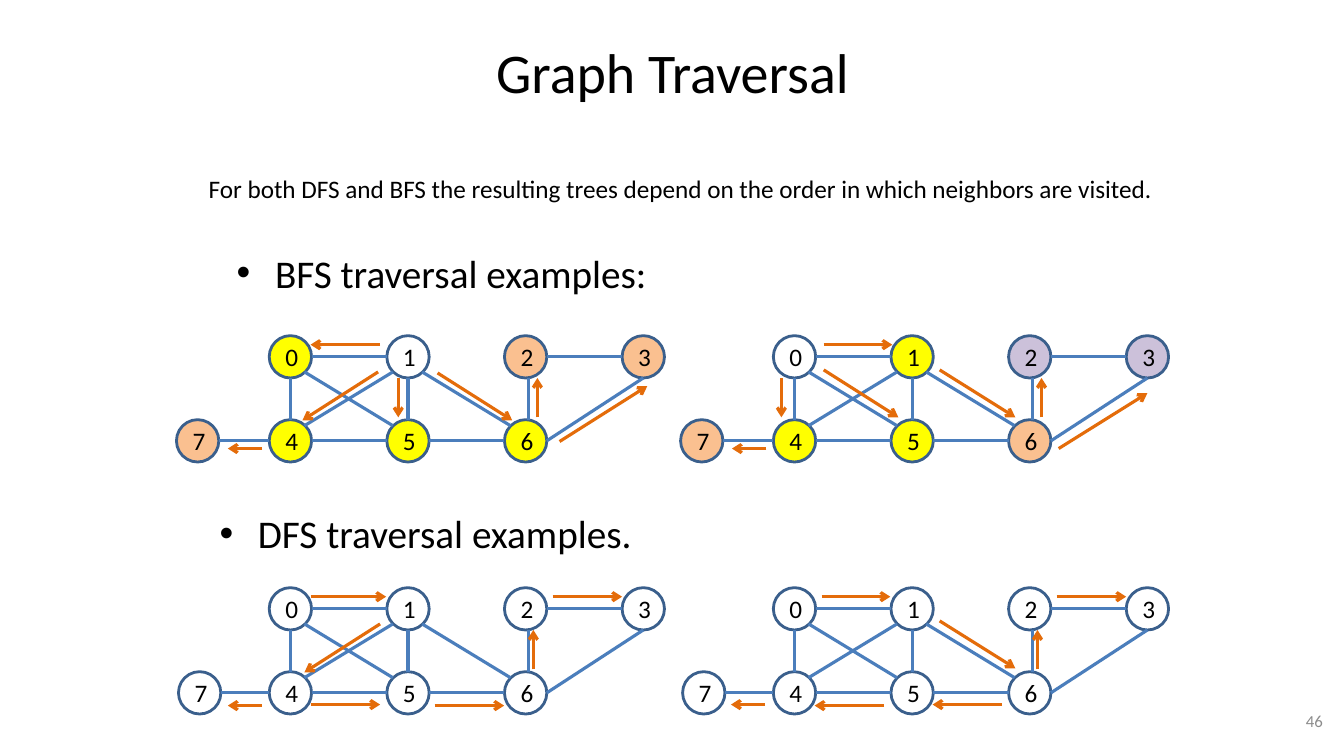
from pptx import Presentation
from pptx.dml.color import RGBColor
from pptx.enum.shapes import MSO_CONNECTOR as Link, MSO_SHAPE as Kind
from pptx.enum.text import MSO_ANCHOR as Anchor, PP_ALIGN as Align
from pptx.oxml.ns import qn
from pptx.util import Inches, Pt
from lxml.etree import SubElement as Sub

FONT, BLACK, GRAY = "Calibri", "000000", "8C8C8C"
RIM, EDGE, TOUR = "3A5F8C", "4B7EBC", "E46C0A"
YELLOW, PEACH, LILAC = "FFFF00", "FAC090", "CCC1DA"

# Text, box, size, colour, alignment, anchor, bullet, wrap
TEXTS = [
    ("Graph Traversal", (0.67, 0.08, 12, 1.25), 40, BLACK,
     Align.CENTER, Anchor.MIDDLE, False, True),
    ("For both DFS and BFS the resulting trees depend on the order "
     "in which neighbors are visited.", (1.97, 1.67, 9.68, 0.4), 18, BLACK,
     Align.LEFT, Anchor.TOP, False, False),
    ("BFS traversal examples:", (2.25, 2.42, 9, 0.83), 28, BLACK,
     Align.LEFT, Anchor.TOP, True, True),
    ("DFS traversal examples.", (2.08, 5, 9.5, 0.91), 28, BLACK,
     Align.LEFT, Anchor.TOP, True, True),
    ("46", (10.11, 6.95, 3.11, 0.4), 12, GRAY,
     Align.RIGHT, Anchor.MIDDLE, False, True),
]

# Grid of nodes: the column and row of each
SIZE, COL, ROW = 0.42, 7 / 6, 5 / 6
CELLS = {0: (0, 0), 1: (1, 0), 2: (2, 0), 3: (3, 0),
         4: (0, 1), 5: (1, 1), 6: (2, 1)}

# Points on a node where edges meet it, and the edges between them
SITES = {"left": (0, 0.21), "right": (0.42, 0.21),
         "top": (0.21, 0), "base": (0.21, 0.42),
         "top+": (0.24, 0), "base+": (0.24, 0.42),
         "nw": (0.06, 0.06), "ne": (0.35, 0.06),
         "sw": (0.06, 0.36), "se": (0.35, 0.36)}
EDGES = [
    (0, "right", 1, "left"), (2, "right", 3, "left"),
    (7, "right", 4, "left"), (4, "right", 5, "left"),
    (5, "right", 6, "left"), (6, "right", 3, "base"),
    (4, "top", 0, "base"), (5, "top", 1, "base"), (6, "top+", 2, "base+"),
    (4, "ne", 1, "sw"), (0, "se", 5, "nw"), (1, "se", 6, "nw"),
]

# Graphs: origin, left of node 7, fills by node, arrows from the origin
GRAPHS = [
    ((2.67, 3.33), -0.92,
     {0: YELLOW, 4: YELLOW, 5: YELLOW, 6: YELLOW,
      2: PEACH, 3: PEACH, 7: PEACH},
     [(1.1, 0.09, 0.41, 0.09), (1.08, 0.36, 0.33, 0.84),
      (1.28, 0.42, 1.28, 0.81), (1.67, 0.37, 2.41, 0.84),
      (2.66, 0.81, 2.66, 0.42), (2.88, 1.05, 3.75, 0.5),
      (-0.07, 1.12, -0.41, 1.12)]),
    ((7.67, 3.33), -0.92,
     {1: YELLOW, 4: YELLOW, 5: YELLOW, 6: PEACH, 7: PEACH,
      2: LILAC, 3: LILAC},
     [(0.5, 0.09, 1.18, 0.09), (0.5, 0.34, 1.24, 0.81),
      (0.08, 0.42, 0.08, 0.81), (1.65, 0.34, 2.4, 0.81),
      (2.66, 0.81, 2.66, 0.42), (2.83, 1.12, 3.71, 0.57),
      (-0.07, 1.12, -0.41, 1.12)]),
    ((2.67, 5.83), -0.9, {},
     [(0.41, 0.09, 1.16, 0.09), (1.1, 0.36, 0.35, 0.84),
      (0.41, 1.16, 1.1, 1.16), (1.64, 1.17, 2.33, 1.17),
      (2.62, 0.81, 2.62, 0.42), (2.81, 0.09, 3.5, 0.09),
      (-0.07, 1.17, -0.41, 1.17)]),
    ((7.67, 5.83), -0.9, {},
     [(0.48, 0.09, 1.16, 0.09), (1.65, 0.33, 2.4, 0.8),
      (2.27, 1.16, 1.58, 1.16), (1.1, 1.17, 0.41, 1.17),
      (2.62, 0.81, 2.62, 0.42), (2.81, 0.09, 3.5, 0.09),
      (-0.08, 1.16, -0.42, 1.16)]),
]

deck = Presentation()
deck.slide_width, deck.slide_height = Inches(13.33), Inches(7.5)
slide = deck.slides.add_slide(deck.slide_layouts[6])
shapes = slide.shapes


def paint(form, tone):
    form.color.rgb = RGBColor.from_string(tone)


def write(frame, text, size, tone, align, anchor, wrap=True):
    frame.word_wrap, frame.vertical_anchor = wrap, anchor
    para = frame.paragraphs[0]
    para.alignment = align
    run = para.add_run()
    run.text = text
    run.font.size, run.font.name = Pt(size), FONT
    paint(run.font, tone)
    return para


def add_dot(para, size):
    para.space_before = Pt(size * 0.2)
    props = para._p.get_or_add_pPr()
    props.set("marL", str(Inches(0.38)))
    props.set("indent", str(-Inches(0.38)))
    Sub(props, qn("a:buFont"), typeface="Arial")
    Sub(props, qn("a:buChar"), char="\u2022")


def draw_line(ends, tone, arrow=False):
    link = shapes.add_connector(Link.STRAIGHT, *map(Inches, ends))
    link.line.width = Pt(2.25)
    paint(link.line, tone)
    if arrow:
        Sub(link.line._get_or_add_ln(), qn("a:tailEnd"), type="arrow")
    Sub(link._element.spPr, qn("a:effectLst"))


def draw_node(name, spot, fill):
    node = shapes.add_shape(Kind.OVAL, *map(Inches, (*spot, SIZE, SIZE)))
    node.shadow.inherit = False
    if fill:
        node.fill.solid()
        node.fill.fore_color.rgb = RGBColor.from_string(fill)
    else:
        node.fill.background()
    node.line.width = Pt(2)
    paint(node.line, RIM)
    write(node.text_frame, str(name), 18, BLACK, Align.CENTER, Anchor.MIDDLE)


def draw_graph(start, seven, fills, tour):
    x, y = start
    spots = {n: (x + c * COL, y + r * ROW) for n, (c, r) in CELLS.items()}
    spots[7] = (x + seven, y + ROW)

    def meet(node, site):
        return [a + b for a, b in zip(spots[node], SITES[site])]

    for name, spot in spots.items():
        draw_node(name, spot, fills.get(name))
    for a, out, b, into in EDGES:
        draw_line(meet(a, out) + meet(b, into), EDGE)
    for x1, y1, x2, y2 in tour:
        draw_line((x + x1, y + y1, x + x2, y + y2), TOUR, True)


# Headings and page number
for text, box, size, tone, align, anchor, dot, wrap in TEXTS:
    area = shapes.add_textbox(*map(Inches, box))
    para = write(area.text_frame, text, size, tone, align, anchor, wrap)
    if dot:
        add_dot(para, size)

# Graphs with their traversal arrows
for graph in GRAPHS:
    draw_graph(*graph)

deck.save("out.pptx")
